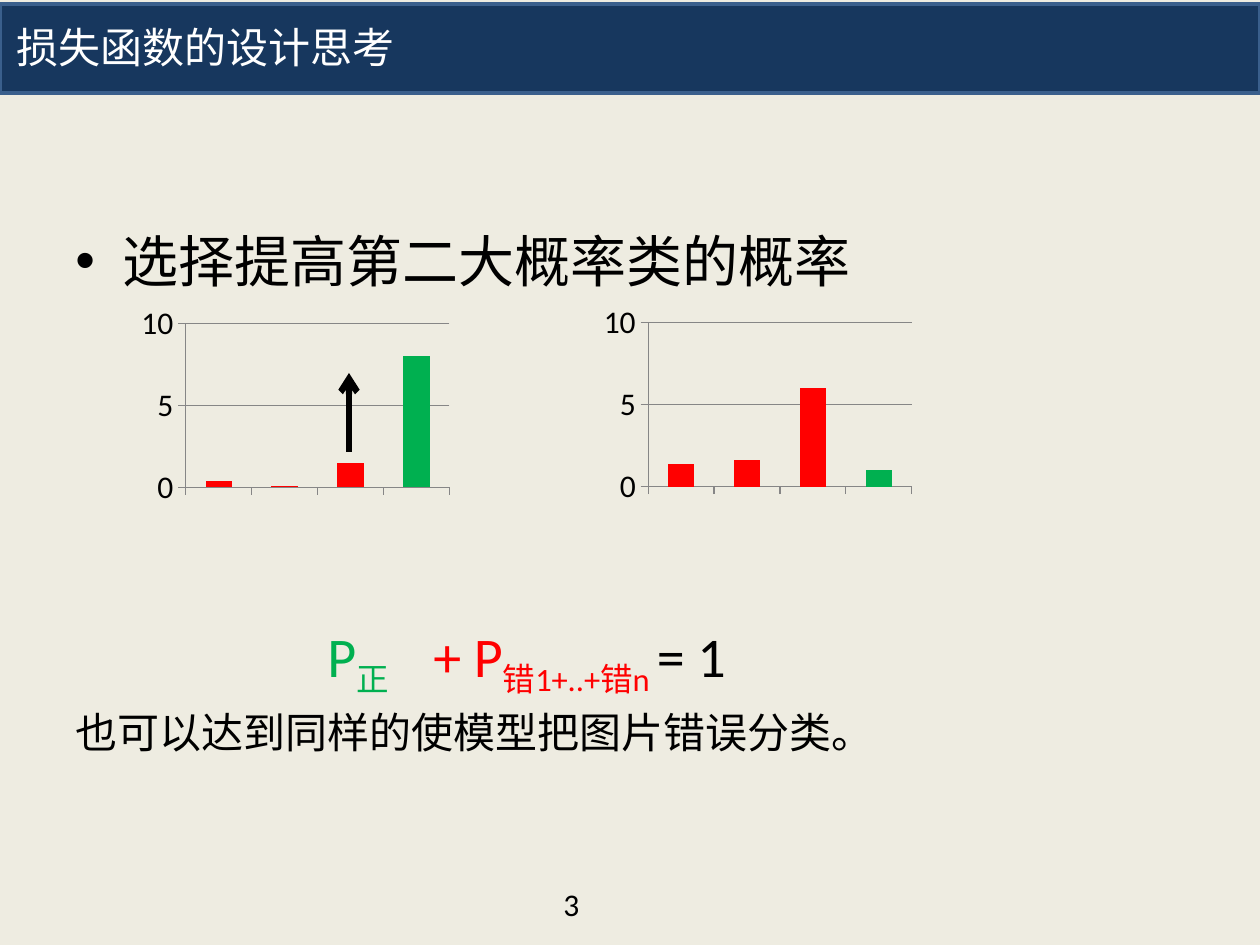
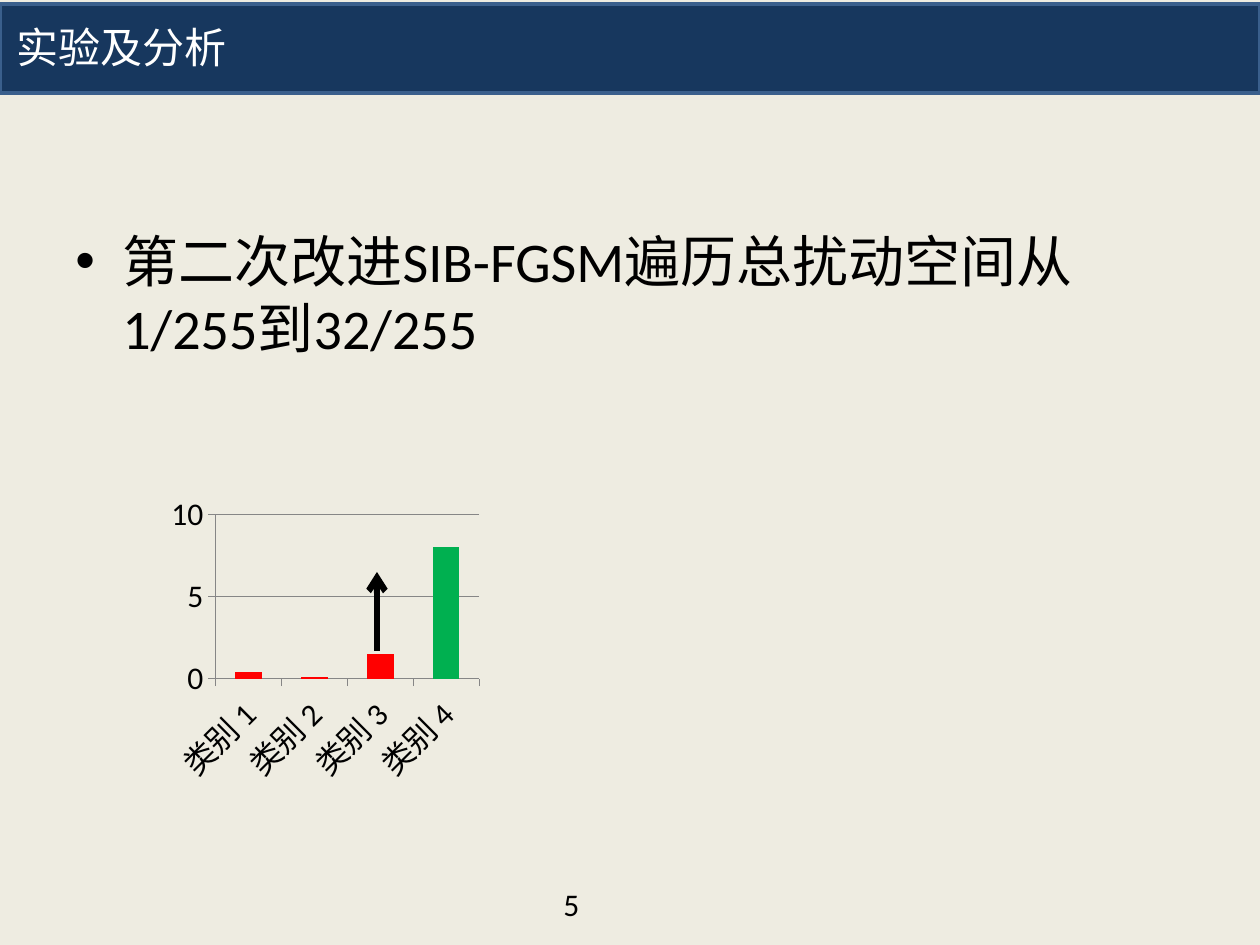
from lxml.etree import SubElement
from pptx import Presentation
from pptx.chart.data import CategoryChartData
from pptx.dml.color import RGBColor
from pptx.enum.chart import XL_CHART_TYPE, XL_TICK_LABEL_POSITION, XL_TICK_MARK
from pptx.enum.shapes import MSO_CONNECTOR, MSO_SHAPE
from pptx.oxml import parse_xml
from pptx.oxml.ns import nsdecls, qn
from pptx.util import Emu, Pt

PIXELS_PER_INCH = 126
BACKGROUND, BAND, BAND_LINE = "EEECE1", "17375E", "3A5F8C"
BLACK, WHITE, RED, GREEN, GRID = "000000", "FFFFFF", "FF0000", "00B050", "868686"

BULLET_FORMAT = {"name": "Calibri", "size": 32, "color": BLACK}
NOTE_FORMAT = {"name": "Calibri", "size": 24, "color": BLACK}
TITLE_FORMAT = {"name": "Arial", "size": 24, "color": WHITE}
NUMBER_FORMAT = {"name": "Calibri", "size": 18, "color": BLACK}

CATEGORIES = [f"类别 {number}" for number in range(1, 5)]
BEFORE_ATTACK = (0.4, 0.1, 1.5, 8)
AFTER_ATTACK = (1.4, 1.6, 6, 1)


def px(length):
    return Emu(round(length * 914400 / PIXELS_PER_INCH))


def color(hex_value):
    return RGBColor.from_string(hex_value)


class Deck:
    def __init__(self):
        self.presentation = Presentation()
        self.presentation.slide_width = px(1260)
        self.presentation.slide_height = px(945)
        self.slide = None

    def add_slide(self):
        self.slide = self.presentation.slides.add_slide(self.presentation.slide_layouts[6])
        fill = self.slide.background.fill
        fill.solid()
        fill.fore_color.rgb = color(BACKGROUND)

    def format_font(self, font, values):
        for name, value in values.items():
            if name == "color":
                font.color.rgb = color(value)
            else:
                setattr(font, name, Pt(value) if name == "size" else value)

    def text_box(self, left, top, width, height):
        frame = self.slide.shapes.add_textbox(px(left), px(top), px(width), px(height)).text_frame
        frame.word_wrap = True
        return frame

    def add_run(self, paragraph, text, values, subscript=False):
        run = paragraph.add_run()
        run.text = text
        self.format_font(run.font, values)
        if subscript:
            run.font._element.set("baseline", "-25000")

    def text(self, box, text, values):
        self.add_run(self.text_box(*box).paragraphs[0], text, values)

    def bullet(self, text):
        paragraph = self.text_box(63, 220, 1134, 160).paragraphs[0]
        properties = paragraph._p.get_or_add_pPr()
        properties.set("marL", str(px(47)))
        properties.set("indent", str(-px(47)))
        SubElement(properties, qn("a:buFont"), typeface="Arial")
        SubElement(properties, qn("a:buChar"), char="•")
        self.add_run(paragraph, text, BULLET_FORMAT)

    def formula(self, parts, tab_stops, note):
        frame = self.text_box(63, 615, 1134, 160)
        paragraph = frame.paragraphs[0]
        tabs = SubElement(paragraph._p.get_or_add_pPr(), qn("a:tabLst"))
        for position in tab_stops:
            SubElement(tabs, qn("a:tab"), pos=str(px(position)), algn="l")
        for text, text_color, subscript in parts:
            self.add_run(paragraph, text, {**BULLET_FORMAT, "color": text_color}, subscript)
        note_paragraph = frame.add_paragraph()
        note_paragraph.space_before = Pt(5)
        self.add_run(note_paragraph, note, NOTE_FORMAT)

    def chart(self, left, top, values, plot_origin, show_labels=False):
        data = CategoryChartData()
        data.categories = CATEGORIES
        data.add_series("概率", values)
        chart = self.slide.shapes.add_chart(
            XL_CHART_TYPE.COLUMN_CLUSTERED, px(left), px(top), px(507), px(357), data).chart
        chart.has_legend = chart.has_title = False
        self.format_font(chart.font, NUMBER_FORMAT)
        chart.element.find(qn("c:chart")).addnext(parse_xml(
            f"<c:spPr {nsdecls('c', 'a')}><a:noFill/><a:ln><a:noFill/></a:ln></c:spPr>"))

        # Bars: the correct class is the last one
        plot = chart.plots[0]
        plot.gap_width = 150
        plot.vary_by_categories = False
        for index in range(len(values)):
            fill = plot.series[0].points[index].format.fill
            fill.solid()
            fill.fore_color.rgb = color(GREEN if index == len(values) - 1 else RED)

        # Axes
        value_axis, category_axis = chart.value_axis, chart.category_axis
        for name, value in {"minimum_scale": 0, "maximum_scale": 10, "major_unit": 5,
                            "has_major_gridlines": True}.items():
            setattr(value_axis, name, value)
        for axis in (value_axis, category_axis):
            axis.major_tick_mark = XL_TICK_MARK.OUTSIDE
            axis.minor_tick_mark = XL_TICK_MARK.NONE
        for line in (value_axis.format.line, category_axis.format.line,
                     value_axis.major_gridlines.format.line):
            line.color.rgb = color(GRID)
            line.width = Pt(0.75)
        if show_labels:
            self.format_font(category_axis.tick_labels.font, NUMBER_FORMAT)
            body = category_axis._element.find(qn("c:txPr")).find(qn("a:bodyPr"))
            body.set("rot", "-2700000")
        else:
            category_axis.tick_label_position = XL_TICK_LABEL_POSITION.NONE
        self.place_plot(chart, plot_origin)

    def place_plot(self, chart, origin):
        area = chart.element.find(qn("c:chart")).find(qn("c:plotArea"))
        for old_layout in area.findall(qn("c:layout")):
            area.remove(old_layout)
        layout = parse_xml(f"<c:layout {nsdecls('c')}/>")
        manual = SubElement(layout, qn("c:manualLayout"))
        settings = {"layoutTarget": "inner", "xMode": "edge", "yMode": "edge",
                    "x": origin[0], "y": origin[1], "w": 0.52, "h": 0.46}
        for name, value in settings.items():
            SubElement(manual, qn(f"c:{name}"), val=str(value))
        area.insert(0, layout)

    def up_arrow(self, x, bottom, length=79):
        arrow = self.slide.shapes.add_connector(
            MSO_CONNECTOR.STRAIGHT, px(x), px(bottom), px(x), px(bottom - length))
        arrow.line.color.rgb = color(BLACK)
        arrow.line.width = Pt(3.5)
        SubElement(arrow.line._get_or_add_ln(), qn("a:tailEnd"), type="arrow")
        SubElement(arrow._element.spPr, qn("a:effectLst"))

    def page_frame(self, title, number):
        self.text((551, 879, 294, 50), str(number), NUMBER_FORMAT)
        band = self.slide.shapes.add_shape(MSO_SHAPE.RECTANGLE, px(0), px(4), px(1260), px(89))
        band.shadow.inherit = False
        band.fill.solid()
        band.fill.fore_color.rgb = color(BAND)
        band.line.color.rgb = color(BAND_LINE)
        band.line.width = Pt(2)
        self.text((4, 15, 993, 66), title, TITLE_FORMAT)


def main():
    deck = Deck()

    # Loss function design
    deck.add_slide()
    deck.bullet("选择提高第二大概率类的概率")
    deck.formula(
        [("\tP", GREEN, False), ("正", GREEN, True), ("\t+ P", RED, False),
         ("错1+..+错n ", RED, True), ("= 1", BLACK, False)],
        tab_stops=(252, 358),
        note="也可以达到同样的使模型把图片错误分类。")
    deck.chart(54, 234, BEFORE_ATTACK, (0.26, 0.25))
    deck.chart(491, 244, AFTER_ATTACK, (0.31, 0.22))
    deck.up_arrow(349, 452)
    deck.page_frame("损失函数的设计思考", 3)

    # Experiment and analysis
    deck.add_slide()
    deck.bullet("第二次改进SIB-FGSM遍历总扰动空间从1/255到32/255")
    deck.chart(94, 486, BEFORE_ATTACK, (0.24, 0.08), show_labels=True)
    deck.up_arrow(377, 651)
    deck.page_frame("实验及分析", 5)

    deck.presentation.save("out.pptx")


if __name__ == "__main__":
    main()
